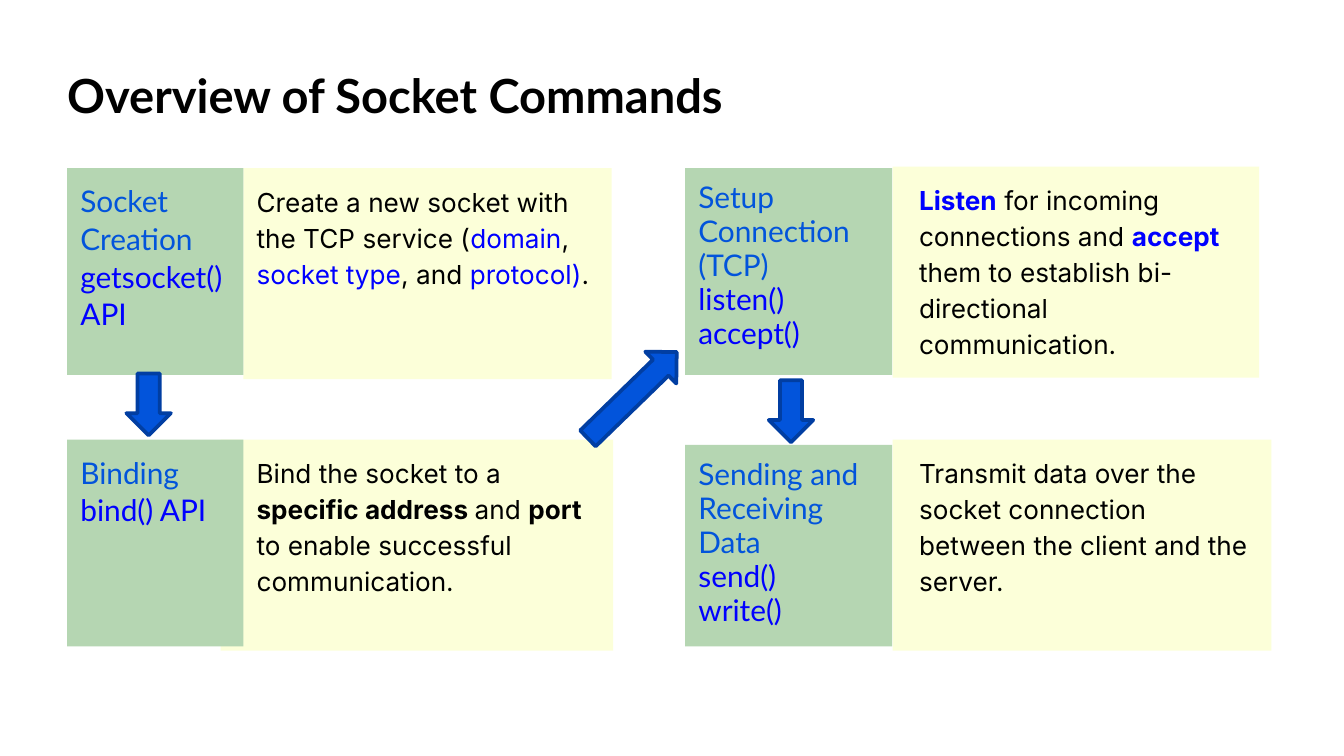
from pptx import Presentation
from pptx import util as u
from pptx.dml.color import RGBColor
from pptx.enum import shapes, text

BLACK = RGBColor(0x00, 0x00, 0x00)
BLUE = RGBColor(0x02, 0x54, 0xDB)
PURE = RGBColor(0x00, 0x00, 0xFF)
NAVY = RGBColor(0x01, 0x3E, 0xA2)
GREEN = RGBColor(0xB5, 0xD6, 0xB2)
CREAM = RGBColor(0xFC, 0xFF, 0xD9)
PAD = u.Cm(0.25)


def set_frame(frame, anchor):
    frame.word_wrap = True
    frame.auto_size = text.MSO_AUTO_SIZE.NONE
    frame.vertical_anchor = anchor
    frame.margin_left = frame.margin_right = PAD
    frame.margin_top = frame.margin_bottom = PAD


def set_font(para, name, size, color, bold=False):
    para.alignment = text.PP_ALIGN.LEFT
    para.font.name = name
    para.font.size = u.Pt(size)
    para.font.color.rgb = color
    para.font.bold = bold


def add_shape(slide, kind, box, fill):
    shape = slide.shapes.add_shape(kind, *map(u.Cm, box))
    shape.shadow.inherit = False
    shape.fill.solid()
    shape.fill.fore_color.rgb = fill
    shape.line.fill.background()
    return shape


def add_panel(slide, box, fill):
    frame = add_shape(slide, shapes.MSO_SHAPE.RECTANGLE, box, fill).text_frame
    set_frame(frame, text.MSO_ANCHOR.TOP)
    return frame


def add_title(slide, box, words):
    title = slide.shapes.title
    title.left, title.top, title.width, title.height = map(u.Cm, box)
    set_frame(title.text_frame, text.MSO_ANCHOR.MIDDLE)
    title.text_frame.text = words
    set_font(title.text_frame.paragraphs[0], "Lato", 25.2, BLACK, True)


def add_note(slide, box, parts, indent):
    para = add_panel(slide, box, CREAM).paragraphs[0]
    set_font(para, "Inter", 14, BLACK)
    para.line_spacing = 1.15
    para._p.get_or_add_pPr().set("marL", str(u.Cm(indent)))
    for words, color, bold in parts:
        run = para.add_run()
        run.text = words
        run.font.color.rgb = color
        run.font.bold = bold


def add_label(slide, box, lines, space):
    frame = add_panel(slide, box, GREEN)
    frame.text = "\n".join(lines)
    for i, para in enumerate(frame.paragraphs):
        set_font(para, "Lato", 16, PURE if i else BLUE)
        para.line_spacing = space


def add_arrow(slide, box, turn):
    arrow = add_shape(slide, shapes.MSO_SHAPE.DOWN_ARROW, box, BLUE)
    arrow.line.color.rgb = NAVY
    arrow.line.width = u.Pt(2)
    arrow.rotation = turn


def plain(words):
    return words, BLACK, False


def blue(words, bold=False):
    return words, PURE, bold


def strong(words):
    return words, BLACK, True


STEPS = [
    ((1.27, 3.18, 3.33, 3.91), ["Socket Creation", "getsocket() API"], 1.05,
     (4.6, 3.18, 6.96, 3.99), 0,
     [plain("Create a new socket with the TCP service ("), blue("domain"),
      plain(", "), blue("socket type"), plain(", and "),
      blue("protocol)"), plain(".")]),
    ((1.27, 8.31, 3.33, 3.91), ["Binding", "bind() API"], 1.05,
     (4.17, 8.31, 7.42, 3.99), 0.43,
     [plain("Bind the socket to a "), strong("specific address "),
      plain("and "), strong("port"),
      plain(" to enable successful communication.")]),
    ((12.95, 3.18, 3.91, 3.91),
     ["Setup Connection (TCP)", "listen()", "accept()"], 0.95,
     (16.87, 3.15, 6.93, 3.99), 0.25,
     [blue("Listen", True), plain(" for incoming connections and "),
      blue("accept", True),
      plain(" them to establish bi-directional communication.")]),
    ((12.95, 8.41, 3.91, 3.81),
     ["Sending and Receiving Data", "send()", "write()"], 0.95,
     (16.87, 8.31, 7.16, 3.99), 0.25,
     [plain("Transmit data over the socket connection between "
            "the client and the server.")]),
]

ARROWS = [
    ((2.39, 7.06, 0.84, 1.17), 0),
    ((11.53, 6.3, 0.84, 2.34), 225.8),
    ((14.53, 7.19, 0.84, 1.17), 0),
]


def main():
    deck = Presentation()
    deck.slide_width, deck.slide_height = u.Cm(25.4), u.Cm(14.29)
    slide = deck.slides.add_slide(deck.slide_layouts.get_by_name("Title Only"))
    add_title(slide, (1.02, 0.99, 22.86, 1.6), "Overview of Socket Commands")
    for side, lines, space, area, indent, parts in STEPS:
        add_note(slide, area, parts, indent)
        add_label(slide, side, lines, space)
    for box, turn in ARROWS:
        add_arrow(slide, box, turn)
    deck.save("out.pptx")


if __name__ == "__main__":
    main()
